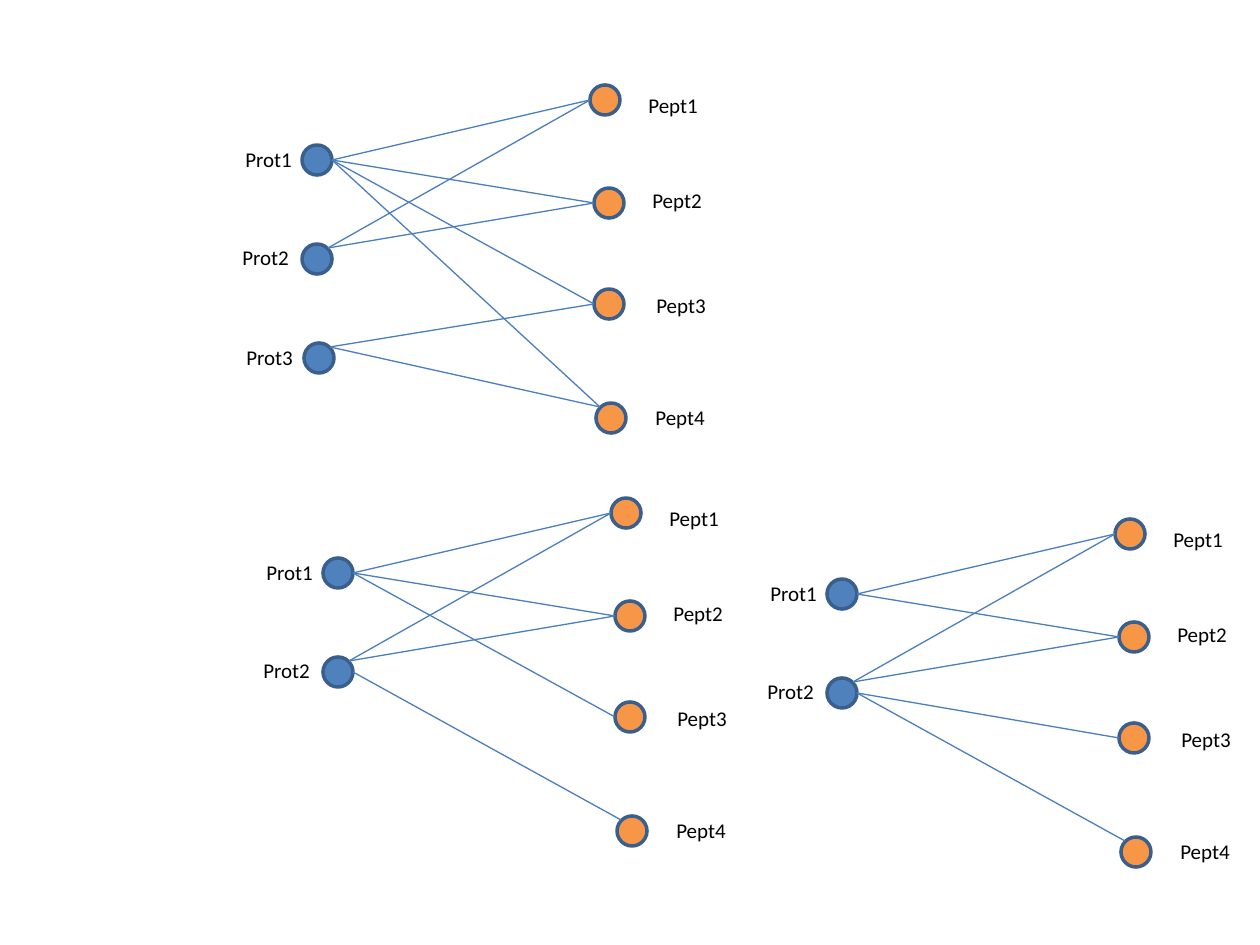
from dataclasses import dataclass

from lxml import etree
from pptx import Presentation
from pptx import util as u
from pptx.dml.color import RGBColor
from pptx.enum import shapes, text
from pptx.oxml.ns import qn


@dataclass(frozen=True)
class Theme:
    protein: str = "4F81BD"
    peptide: str = "F79646"
    outline: str = "3A5F8C"
    edge: str = "4B7EBC"
    ink: str = "000000"
    font: str = "Calibri"
    label_size: int = 12
    outline_width: float = 2
    edge_width: float = 0.75


PIXEL = u.Inches(1) // 126
NODE = 30
LABEL_HEIGHT = 38

# Node corner and label corner of each vertex, in the first graph
PROTEINS = {
    "Prot1": ((302, 145), (233, 140)),
    "Prot2": ((302, 244), (230, 238)),
    "Prot3": ((304, 343), (234, 338)),
}
PEPTIDES = {
    "Pept1": ((590, 85), (636, 86)),
    "Pept2": ((594, 188), (640, 181)),
    "Pept3": ((594, 289), (644, 286)),
    "Pept4": ((596, 403), (643, 398)),
}

# Points on a node where edges attach
RIGHT, UPPER_RIGHT = (30, 15), (26, 4)
LEFT, UPPER_LEFT = (0, 15), (4, 4)

# Each graph: offset, then (protein, leaving point, peptide numbers)
GRAPHS = [
    ((0, 0), [("Prot1", RIGHT, (1, 2, 3, 4)),
              ("Prot2", UPPER_RIGHT, (1, 2)),
              ("Prot3", UPPER_RIGHT, (3, 4))]),
    ((21, 413), [("Prot1", RIGHT, (1, 2, 3)),
                 ("Prot2", RIGHT, (4,)),
                 ("Prot2", UPPER_RIGHT, (1, 2))]),
    ((525, 434), [("Prot1", RIGHT, (1, 2)),
                  ("Prot2", RIGHT, (3, 4)),
                  ("Prot2", UPPER_RIGHT, (1, 2))]),
]


def shift(*points):
    """Add points coordinate by coordinate."""
    return tuple(map(sum, zip(*points)))


class Painter:
    def __init__(self, slide, theme):
        self.slide = slide
        self.theme = theme

    def emu(self, *pixels):
        return [u.Emu(value * PIXEL) for value in pixels]

    def node(self, corner, color):
        circle = self.slide.shapes.add_shape(
            shapes.MSO_SHAPE.OVAL, *self.emu(*corner, NODE, NODE))
        circle.shadow.inherit = False
        circle.fill.solid()
        circle.fill.fore_color.rgb = RGBColor.from_string(color)
        circle.line.color.rgb = RGBColor.from_string(self.theme.outline)
        circle.line.width = u.Pt(self.theme.outline_width)

    def edge(self, start, end):
        line = self.slide.shapes.add_connector(
            shapes.MSO_CONNECTOR.STRAIGHT, *self.emu(*start, *end))
        line.line.color.rgb = RGBColor.from_string(self.theme.edge)
        line.line.width = u.Pt(self.theme.edge_width)
        properties = line._element.find(qn("p:spPr"))
        etree.SubElement(properties, qn("a:effectLst"))

    def label(self, corner, width, words):
        box = self.slide.shapes.add_textbox(
            *self.emu(*corner, width, LABEL_HEIGHT))
        frame = box.text_frame
        frame.word_wrap = False
        frame.auto_size = text.MSO_AUTO_SIZE.SHAPE_TO_FIT_TEXT
        para = frame.paragraphs[0]
        para.text = words
        para.font.name = self.theme.font
        para.font.size = u.Pt(self.theme.label_size)
        para.font.color.rgb = RGBColor.from_string(self.theme.ink)

    def graph(self, offset, links):
        used = {protein for protein, _, _ in links}
        proteins = {name: spot for name, spot in PROTEINS.items()
                    if name in used}
        groups = [(proteins, self.theme.protein, 73),
                  (PEPTIDES, self.theme.peptide, 76)]

        # Nodes
        for vertices, color, _ in groups:
            for corner, _ in vertices.values():
                self.node(shift(corner, offset), color)

        # Edges
        for protein, leaving, numbers in links:
            start = shift(PROTEINS[protein][0], leaving, offset)
            for number in numbers:
                arriving = UPPER_LEFT if number == 4 else LEFT
                corner = PEPTIDES[f"Pept{number}"][0]
                self.edge(start, shift(corner, arriving, offset))

        # Labels
        for vertices, _, width in groups:
            for name, (_, corner) in vertices.items():
                self.label(shift(corner, offset), width, name)


deck = Presentation()
deck.slide_width, deck.slide_height = u.Inches(10), u.Inches(7.5)
page = deck.slides.add_slide(deck.slide_layouts.get_by_name("Blank"))
painter = Painter(page, Theme())
for graph_offset, graph_links in GRAPHS:
    painter.graph(graph_offset, graph_links)
deck.save("out.pptx")
